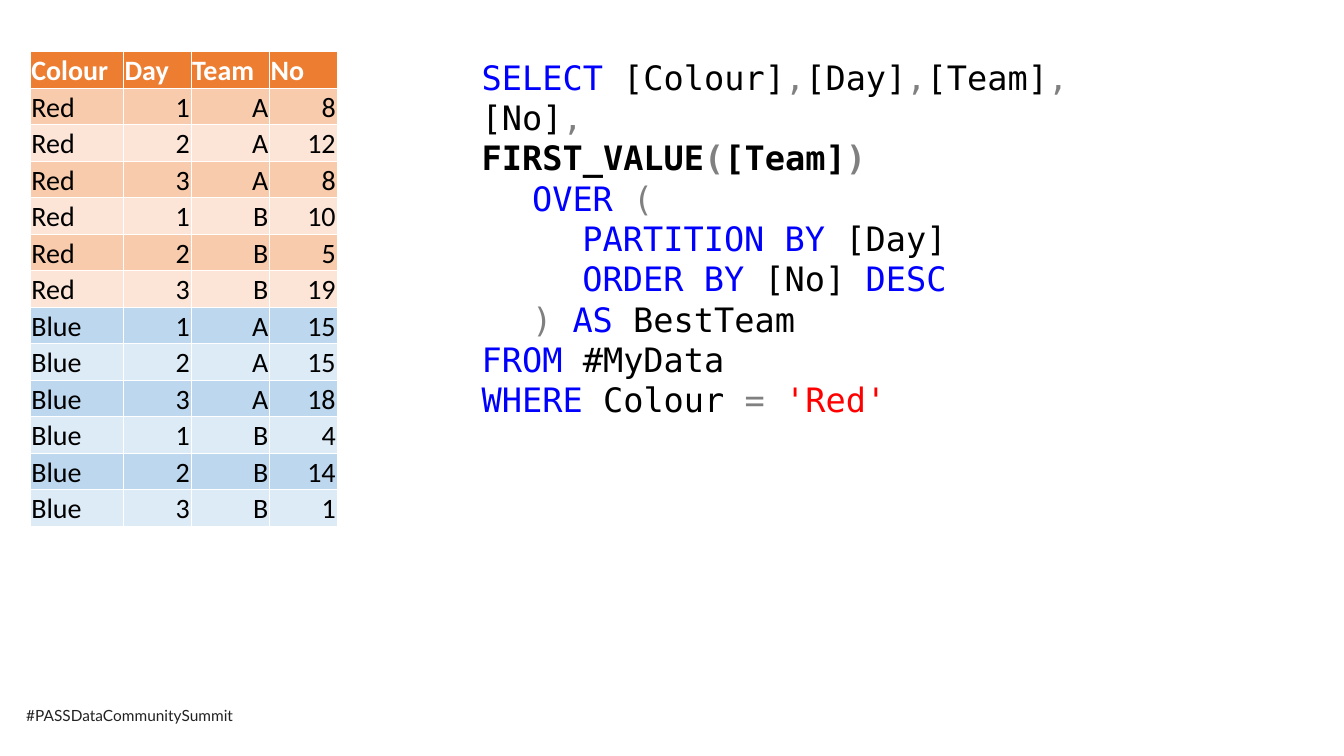
from itertools import product
from lxml import etree
from pptx import Presentation
from pptx import util as u
from pptx.dml import color
from pptx.enum import text
from pptx.oxml import ns

WHITE, BLACK, BLUE, GREY, RED = "FFFFFF", "000000", "0000FF", "808080", "FF0000"
HEADER_FILL = "ED7D31"
BANDS = {"Red": ("F8CBAD", "FCE4D6"), "Blue": ("BDD7EE", "DDEBF7")}
HEADERS = ("Colour", "Day", "Team", "No")
COLUMN_WIDTHS = (2.35, 1.7, 1.98, 1.7)
SCORES = (8, 12, 8, 10, 5, 19, 15, 15, 18, 4, 14, 1)
QUERY = [
    (0, False, [("SELECT", BLUE), (" [Colour]", BLACK), (",", GREY), ("[Day]", BLACK),
                (",", GREY), ("[Team]", BLACK), (",", GREY), ("[No]", BLACK), (",", GREY)]),
    (0, True, [("FIRST_VALUE", BLACK), ("(", GREY), ("[Team]", BLACK), (")", GREY)]),
    (1, False, [("OVER ", BLUE), ("(", GREY)]),
    (2, False, [("PARTITION BY", BLUE), (" [Day]", BLACK)]),
    (2, False, [("ORDER BY", BLUE), (" [No] ", BLACK), ("DESC", BLUE)]),
    (1, False, [(") ", GREY), ("AS ", BLUE), ("BestTeam", BLACK)]),
    (0, False, [("FROM", BLUE), (" #MyData", BLACK)]),
    (0, False, [("WHERE", BLUE), (" Colour ", BLACK), ("= ", GREY), ("'Red'", RED)]),
]


def rgb(value):
    return color.RGBColor.from_string(value)


def set_all(obj, values):
    for name, value in values.items():
        setattr(obj, name, value)


def add_run(p, words, hex_color, **font):
    r = p.add_run()
    r.text = words
    set_all(r.font, font)
    r.font.color.rgb = rgb(hex_color)


def add_borders(cell):
    tc_pr = cell._tc.get_or_add_tcPr()
    for side in ("lnL", "lnR", "lnT", "lnB"):
        ln = etree.SubElement(tc_pr, ns.qn(f"a:{side}"), w=str(u.Pt(0.5)))
        fill = etree.SubElement(ln, ns.qn("a:solidFill"))
        etree.SubElement(fill, ns.qn("a:srgbClr"), val=WHITE)


def format_cell(cell, words, fill, font_color, bold, align):
    add_borders(cell)
    cell.fill.solid()
    cell.fill.fore_color.rgb = rgb(fill)
    set_all(cell, {"margin_left": u.Cm(0.03), "margin_right": u.Cm(0.03),
                   "margin_top": u.Cm(0.03), "margin_bottom": 0,
                   "vertical_anchor": text.MSO_ANCHOR.BOTTOM})
    p = cell.text_frame.paragraphs[0]
    p.alignment = align
    add_run(p, str(words), font_color, name="Calibri", size=u.Pt(20), bold=bold)


def add_team_table(s, left, top, width, height):
    records = [(colour, day, team, no) for (colour, team, day), no
               in zip(product(BANDS, "AB", (1, 2, 3)), SCORES)]
    row_count = len(records) + 1
    table = s.shapes.add_table(row_count, len(HEADERS), u.Cm(left), u.Cm(top),
                               u.Cm(width), u.Cm(height)).table
    set_all(table, {"first_row": False, "horz_banding": False})
    for column, column_width in zip(table.columns, COLUMN_WIDTHS):
        column.width = u.Cm(column_width)
    for row in table.rows:
        row.height = u.Cm(height / row_count)
    for j, header in enumerate(HEADERS):
        format_cell(table.cell(0, j), header, HEADER_FILL, WHITE, True, text.PP_ALIGN.LEFT)
    for i, record in enumerate(records):
        fill = BANDS[record[0]][i % 2]
        for j, value in enumerate(record):
            align = text.PP_ALIGN.RIGHT if j else text.PP_ALIGN.LEFT
            format_cell(table.cell(i + 1, j), value, fill, BLACK, False, align)


def add_text_box(s, left, top, width, height, wrap):
    sp = s.shapes.add_textbox(u.Cm(left), u.Cm(top), u.Cm(width), u.Cm(height))
    tf = sp.text_frame
    set_all(tf, {"word_wrap": wrap, "auto_size": text.MSO_AUTO_SIZE.SHAPE_TO_FIT_TEXT})
    return tf


def add_query(s, left, top, width, height):
    tf = add_text_box(s, left, top, width, height, True)
    for i, (level, bold, tokens) in enumerate(QUERY):
        p = tf.add_paragraph() if i else tf.paragraphs[0]
        p.level = level
        set_all(p, {"alignment": text.PP_ALIGN.LEFT})
        p._p.get_or_add_pPr().set("marL", str(u.Cm(1.27 * level)))
        for words, hex_color in tokens:
            add_run(p, words, hex_color, name="DejaVu Sans Mono", size=u.Pt(24), bold=bold)


def add_footer(s, left, top, width, height):
    tf = add_text_box(s, left, top, width, height, False)
    add_run(tf.paragraphs[0], "#PASSDataCommunitySummit", "222222", name="Lato", size=u.Pt(11))


def main():
    prs = Presentation()
    set_all(prs, {"slide_width": u.Cm(33.87), "slide_height": u.Cm(19.05)})
    s = prs.slides.add_slide(prs.slide_layouts[6])
    add_footer(s, 0.41, 17.68, 5.94, 0.74)
    add_team_table(s, 0.76, 1.3, sum(COLUMN_WIDTHS), 11.96)
    add_query(s, 11.89, 1.3, 16.94, 8.46)
    prs.save("out.pptx")


if __name__ == "__main__":
    main()
